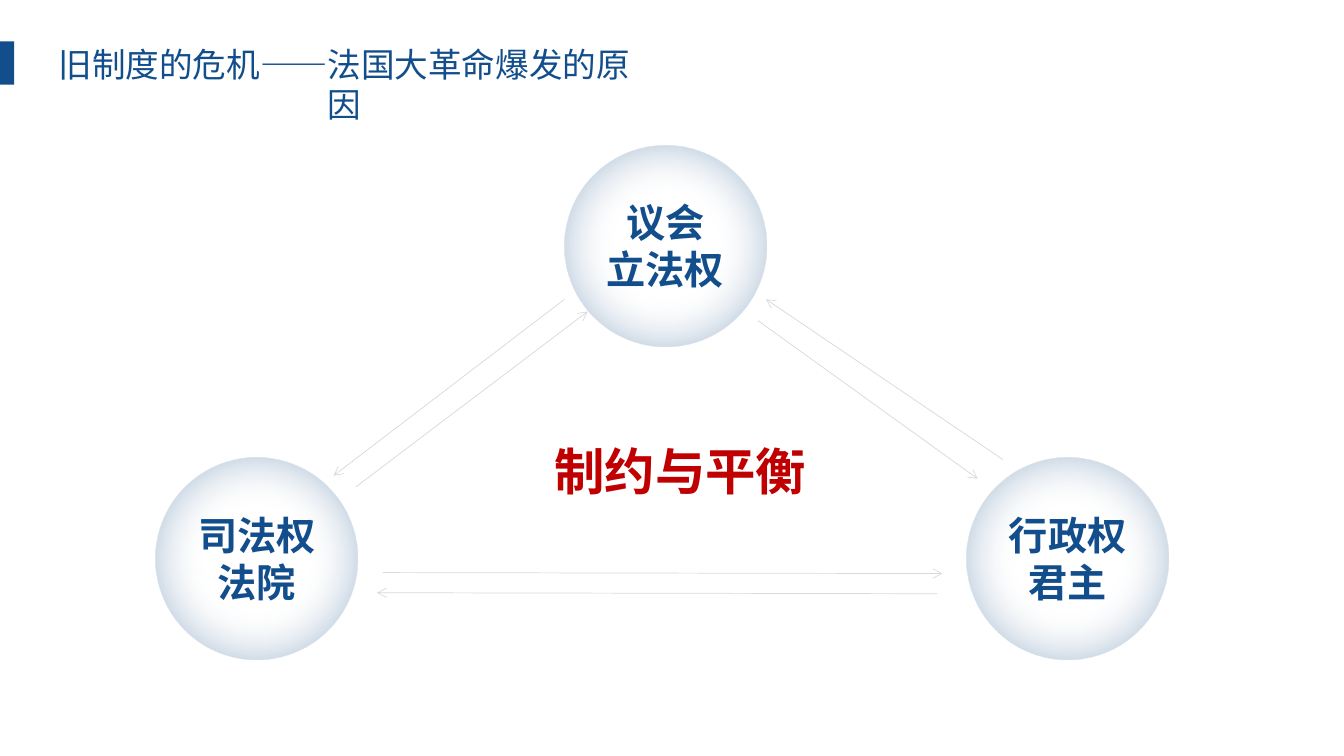
from lxml import etree
from pptx import Presentation
from pptx.dml.color import RGBColor
from pptx.enum.shapes import MSO_CONNECTOR, MSO_SHAPE
from pptx.enum.text import MSO_ANCHOR, MSO_AUTO_SIZE, PP_ALIGN
from pptx.oxml import parse_xml
from pptx.oxml.ns import nsdecls, qn
from pptx.util import Pt

RECTANGLE, OVAL = MSO_SHAPE.RECTANGLE, MSO_SHAPE.OVAL
STRAIGHT = MSO_CONNECTOR.STRAIGHT
CENTER, TOP = PP_ALIGN.CENTER, MSO_ANCHOR.TOP
NO_AUTOFIT = MSO_AUTO_SIZE.NONE

BLUE = RGBColor(0x12, 0x4E, 0x8C)
RED = RGBColor(0xC0, 0x00, 0x00)
PALE_GRAY = RGBColor(0xF2, 0xF2, 0xF2)
LINE_GRAY = RGBColor(0xD9, 0xD9, 0xD9)

TITLE_FONT = "Noto Sans CJK JP"
BODY_FONT = "Noto Sans CJK SC"
CIRCLE_SIZE = 144
LABEL_WIDTH, LABEL_HEIGHT = 111, 75

# Left and top of each circle, with its two lines of text
POWERS = [
    (403.3, 103.7, "议会\n立法权"),
    (111.4, 326.9, "司法权\n法院"),
    (690.6, 326.9, "行政权\n君主"),
]

# Start and end of each arrow
ARROWS = [
    ((403.2, 213.8), (238.3, 339.8)),
    ((254.2, 347.8), (419.8, 222.5)),
    ((716.4, 328.3), (547.2, 213.8)),
    ((541.4, 229), (698.4, 342)),
    ((273.6, 409), (673.2, 409.7)),
    ((669.6, 424.1), (269.3, 423.4)),
]


class SlideBuilder:
    def __init__(self, slide):
        self.slide = slide
        self.shapes = slide.shapes

    def set_text(self, shape, text, font_name, size, color, bold=False):
        frame = shape.text_frame
        frame.text = text
        frame.word_wrap = True
        frame.auto_size = NO_AUTOFIT
        frame.vertical_anchor = TOP
        frame.margin_left = frame.margin_right = Pt(7.2)
        frame.margin_top = frame.margin_bottom = Pt(3.6)
        for paragraph in frame.paragraphs:
            paragraph.alignment = CENTER
            paragraph.line_spacing = 1.0
            paragraph.space_before = Pt(0)
            for run in paragraph.runs:
                font = run.font
                font.name, font.size, font.bold = font_name, Pt(size), bold
                font.color.rgb = color
                east_asian = etree.Element(qn("a:ea"), typeface=font_name)
                font._element.find(qn("a:latin")).addnext(east_asian)

    def title(self, text, left, top, width, height):
        title = self.shapes.title
        title.left, title.top = Pt(left), Pt(top)
        title.width, title.height = Pt(width), Pt(height)
        self.set_text(title, text, TITLE_FONT, 24, BLUE)

    def text(self, text, left, top, width, height, size, color):
        box = self.shapes.add_textbox(Pt(left), Pt(top), Pt(width), Pt(height))
        self.set_text(box, text, BODY_FONT, size, color, bold=True)

    def shape(self, kind, left, top, width, height):
        shape = self.shapes.add_shape(kind, Pt(left), Pt(top), Pt(width), Pt(height))
        shape.shadow.inherit = False
        shape.line.fill.background()
        return shape

    def bar(self, left, top, width, height):
        bar = self.shape(RECTANGLE, left, top, width, height)
        bar.fill.solid()
        bar.fill.fore_color.rgb = BLUE

    def circle(self, left, top):
        circle = self.shape(OVAL, left, top, CIRCLE_SIZE, CIRCLE_SIZE)
        # Radial fade from a clear centre to a translucent blue rim
        gradient = parse_xml(
            f'<a:gradFill {nsdecls("a")} rotWithShape="1"><a:gsLst>'
            f'<a:gs pos="37000"><a:srgbClr val="{PALE_GRAY}"><a:alpha val="0"/></a:srgbClr></a:gs>'
            f'<a:gs pos="100000"><a:srgbClr val="{BLUE}"><a:alpha val="64000"/></a:srgbClr></a:gs>'
            '</a:gsLst><a:path path="circle">'
            '<a:fillToRect l="50000" t="50000" r="50000" b="50000"/></a:path></a:gradFill>'
        )
        circle._element.spPr.find(qn("a:prstGeom")).addnext(gradient)

    def arrow(self, start, end):
        points = [Pt(value) for value in (*start, *end)]
        connector = self.shapes.add_connector(STRAIGHT, *points)
        connector.line.color.rgb = LINE_GRAY
        connector.line.width = Pt(0.5)
        etree.SubElement(connector.line._get_or_add_ln(), qn("a:tailEnd"), type="arrow")
        etree.SubElement(connector._element.spPr, qn("a:effectLst"))


def main():
    presentation = Presentation()
    presentation.slide_width, presentation.slide_height = Pt(960), Pt(540)
    title_only = presentation.slide_layouts[5]
    builder = SlideBuilder(presentation.slides.add_slide(title_only))

    # Heading
    builder.title("旧制度的危机——法国大革命爆发的原因", 23, 27.4, 445.7, 36)
    builder.bar(-0.7, 29.5, 10.8, 31)

    # The three powers
    for left, top, label in POWERS:
        builder.circle(left, top)
        label_left = left + (CIRCLE_SIZE - LABEL_WIDTH) / 2
        label_top = top + (CIRCLE_SIZE - LABEL_HEIGHT) / 2
        builder.text(label, label_left, label_top, LABEL_WIDTH, LABEL_HEIGHT, 28, BLUE)

    # Checks between the powers
    for start, end in ARROWS:
        builder.arrow(start, end)
    builder.text("制约与平衡", 385.2, 311, 201.6, 51, 36, RED)

    presentation.save("out.pptx")


if __name__ == "__main__":
    main()
